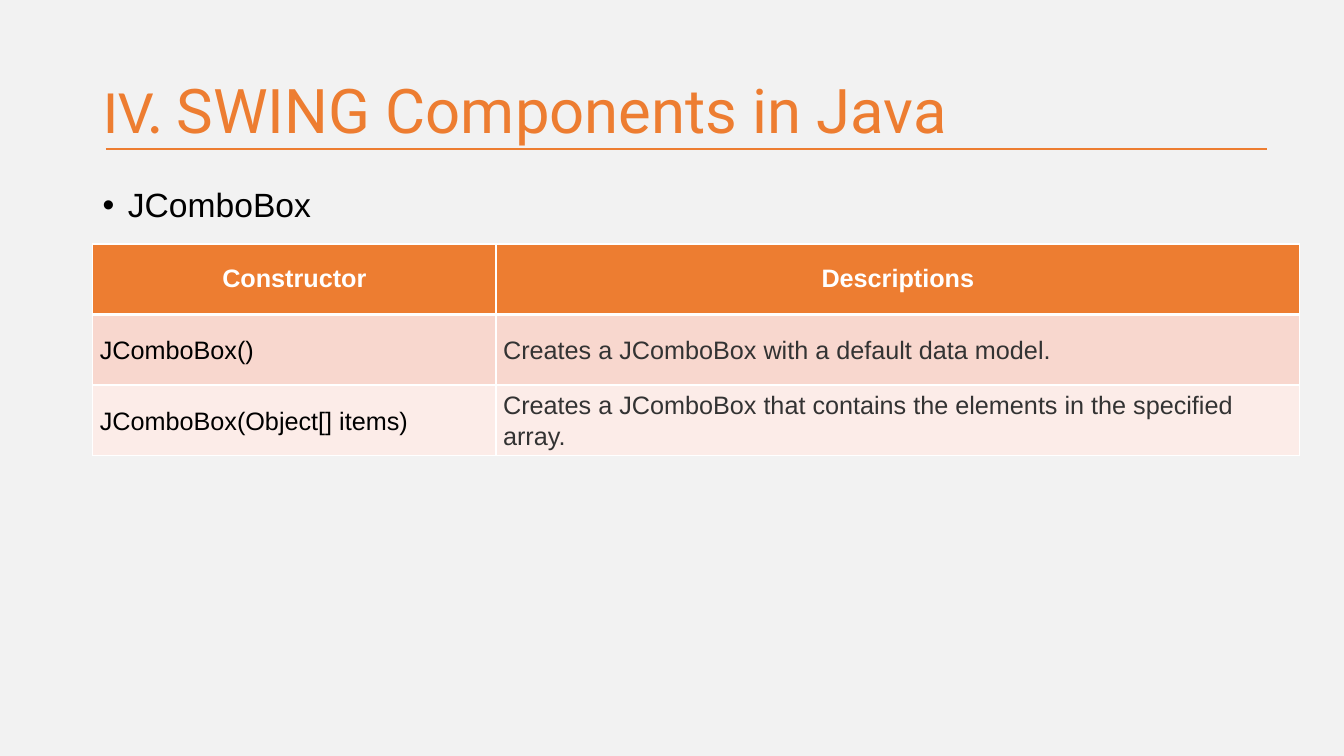
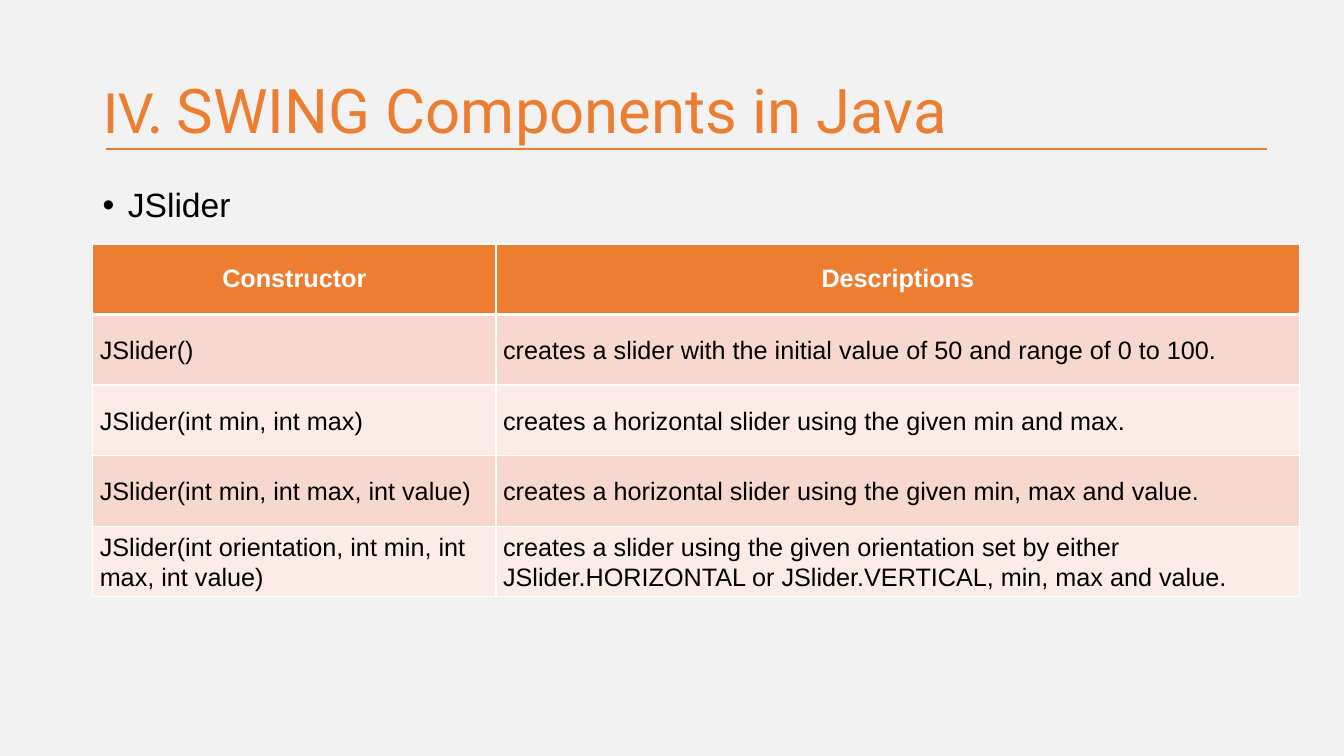
from lxml import etree
from pptx import Presentation
from pptx.dml.color import RGBColor
from pptx.enum.shapes import MSO_CONNECTOR
from pptx.enum.text import MSO_ANCHOR, MSO_AUTO_SIZE, PP_ALIGN
from pptx.oxml.ns import qn
from pptx.util import Inches, Pt

STRAIGHT = MSO_CONNECTOR.STRAIGHT
TOP, MIDDLE = MSO_ANCHOR.TOP, MSO_ANCHOR.MIDDLE
LEFT, CENTER = PP_ALIGN.LEFT, PP_ALIGN.CENTER
NO_AUTOFIT = MSO_AUTO_SIZE.NONE

ORANGE = RGBColor(0xED, 0x7D, 0x31)
WHITE = RGBColor(0xFF, 0xFF, 0xFF)
BLACK = RGBColor(0x00, 0x00, 0x00)
CHARCOAL = RGBColor(0x33, 0x33, 0x33)
PAGE_GREY = RGBColor(0xF2, 0xF2, 0xF2)
BANDS = (RGBColor(0xF8, 0xD7, 0xCE), RGBColor(0xFC, 0xEC, 0xE8))

# Shared layout, in inches: left, top, width, height
PAGE_WIDTH, PAGE_HEIGHT = 13.33, 7.5
MARGIN = 0.92
TITLE_BOX = (MARGIN, 0.4, 11.5, 1.45)
TOPIC_BOX = (MARGIN, 1.58, 11.5, 0.84)
RULE = (1.05, 1.48, 11.52)
TABLE_TOP = 2.42
COLUMN_WIDTHS = (4, 7.97)
ROW_HEIGHT = 0.7

TITLE_PARTS = (("IV. ", "Calibri"), ("SWING Components in Java", "Roboto"))
HEADINGS = ("Constructor", "Descriptions")
TOPICS = (
    ("JComboBox", CHARCOAL, (
        ("JComboBox()", "Creates a JComboBox with a default data model."),
        ("JComboBox(Object[] items)",
         "Creates a JComboBox that contains the elements in the specified array."),
    )),
    ("JSlider", BLACK, (
        ("JSlider()",
         "creates a slider with the initial value of 50 and range of 0 to 100."),
        ("JSlider(int min, int max)",
         "creates a horizontal slider using the given min and max."),
        ("JSlider(int min, int max, int value)",
         "creates a horizontal slider using the given min, max and value."),
        ("JSlider(int orientation, int min, int max, int value)",
         "creates a slider using the given orientation set by either "
         "JSlider.HORIZONTAL or JSlider.VERTICAL, min, max and value."),
    )),
)


def write(para, text, font="Arial", size=18, color=BLACK, bold=False,
          align=LEFT, spacing=1.0):
    """Add a formatted span of text to a paragraph."""
    para.alignment = align
    para.line_spacing = spacing
    span = para.add_run()
    span.text = text
    span.font.name = font
    span.font.size = Pt(size)
    span.font.bold = bold
    span.font.color.rgb = color


def set_bullet(para, indent):
    properties = para._p.get_or_add_pPr()
    properties.set("marL", str(Inches(indent)))
    properties.set("indent", str(-Inches(indent)))
    etree.SubElement(properties, qn("a:buFont")).set("typeface", "Arial")
    etree.SubElement(properties, qn("a:buChar")).set("char", "•")


def set_borders(cell, top=1, bottom=1):
    """Draw white lines, with widths in points, around a cell."""
    properties = cell._tc.get_or_add_tcPr()
    for side, width in (("L", 1), ("R", 1), ("T", top), ("B", bottom)):
        line = etree.SubElement(properties, qn(f"a:ln{side}"), w=str(Pt(width)))
        fill = etree.SubElement(line, qn("a:solidFill"))
        etree.SubElement(fill, qn("a:srgbClr")).set("val", str(WHITE))


def add_title(page, box):
    title = page.shapes.title
    title.left, title.top, title.width, title.height = map(Inches, box)
    frame = title.text_frame
    frame.auto_size = NO_AUTOFIT
    frame.word_wrap = True
    frame.vertical_anchor = MIDDLE
    for text, font in TITLE_PARTS:
        write(frame.paragraphs[0], text, font=font, size=44, color=ORANGE,
              spacing=0.9)


def add_rule(page, left, top, width):
    rule = page.shapes.add_connector(
        STRAIGHT, Inches(left), Inches(top), Inches(left + width), Inches(top))
    rule.line.color.rgb = ORANGE
    rule.line.width = Pt(1.5)
    etree.SubElement(rule._element.spPr, qn("a:effectLst"))


def add_topic(page, box, text):
    frame = page.shapes.add_textbox(*map(Inches, box)).text_frame
    frame.word_wrap = True
    frame.vertical_anchor = TOP
    para = frame.paragraphs[0]
    set_bullet(para, 0.25)
    write(para, text, size=24, spacing=1.5)


def add_constructor_table(page, left, top, entries, description_color):
    row_count = len(entries) + 1
    table = page.shapes.add_table(
        row_count, len(HEADINGS), Inches(left), Inches(top),
        Inches(sum(COLUMN_WIDTHS)), Inches(ROW_HEIGHT * row_count)).table
    for column, width in zip(table.columns, COLUMN_WIDTHS):
        column.width = Inches(width)
    for row in table.rows:
        row.height = Inches(ROW_HEIGHT)

    # Header row
    for index, heading in enumerate(HEADINGS):
        cell = table.cell(0, index)
        set_borders(cell, bottom=3)
        cell.fill.solid()
        cell.fill.fore_color.rgb = ORANGE
        cell.vertical_anchor = MIDDLE
        write(cell.text_frame.paragraphs[0], heading, color=WHITE, bold=True,
              align=CENTER)

    # Banded rows
    for row_index, entry in enumerate(entries, start=1):
        for index, (text, color) in enumerate(
                zip(entry, (BLACK, description_color))):
            cell = table.cell(row_index, index)
            set_borders(cell, top=3 if row_index == 1 else 1)
            cell.fill.solid()
            cell.fill.fore_color.rgb = BANDS[(row_index - 1) % len(BANDS)]
            cell.vertical_anchor = MIDDLE
            cell.margin_left = cell.margin_right = Inches(0.07)
            cell.margin_top = cell.margin_bottom = 0
            write(cell.text_frame.paragraphs[0], text, color=color, spacing=1.07)


def add_topic_page(deck, topic, description_color, entries):
    page = deck.slides.add_slide(deck.slide_layouts.get_by_name("Title Only"))
    add_rule(page, *RULE)
    add_title(page, TITLE_BOX)
    add_topic(page, TOPIC_BOX, topic)
    add_constructor_table(page, MARGIN, TABLE_TOP, entries, description_color)


def main():
    deck = Presentation()
    deck.slide_width = Inches(PAGE_WIDTH)
    deck.slide_height = Inches(PAGE_HEIGHT)
    background = deck.slide_master.background.fill
    background.solid()
    background.fore_color.rgb = PAGE_GREY
    for topic in TOPICS:
        add_topic_page(deck, *topic)
    deck.save("out.pptx")


if __name__ == "__main__":
    main()
